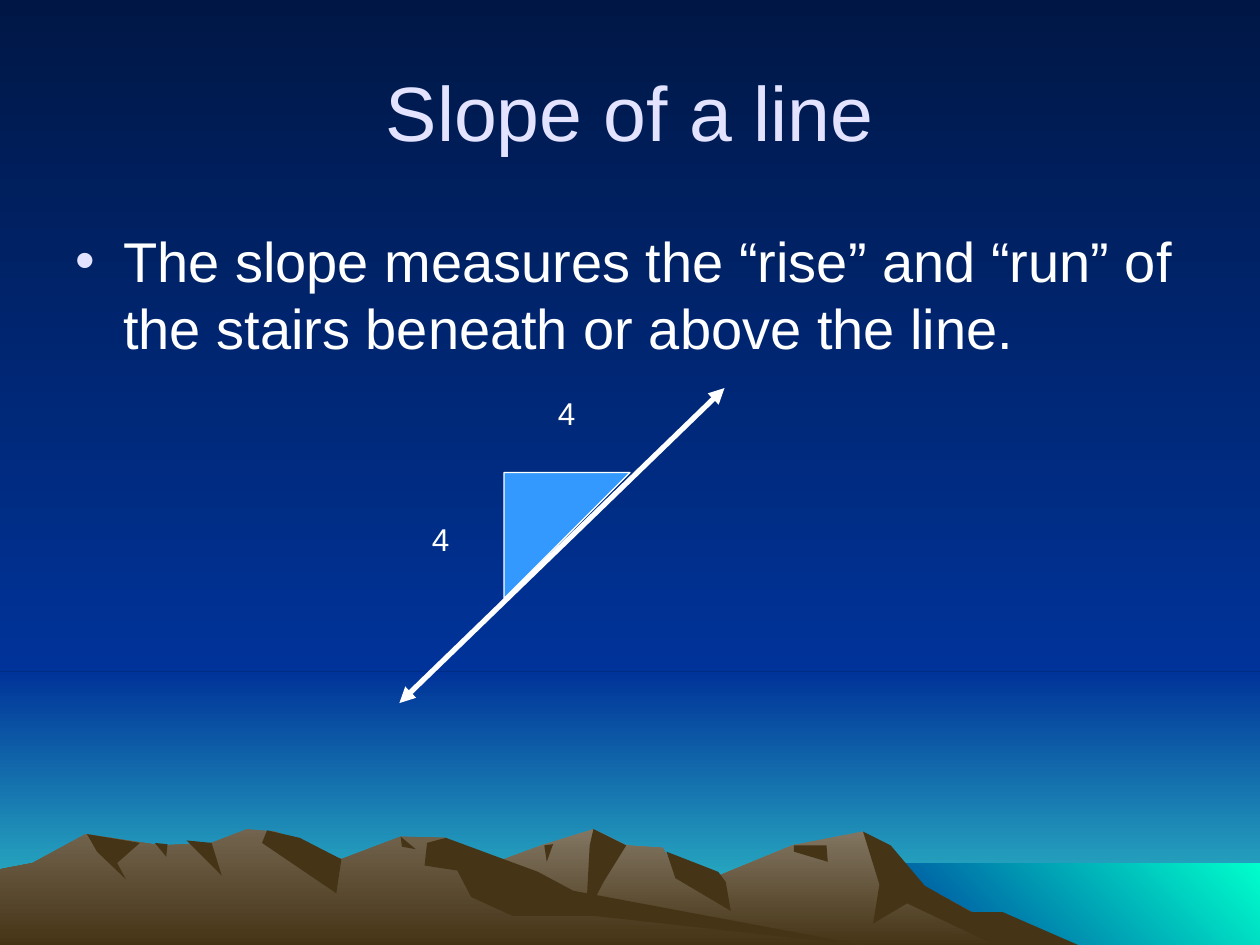
"""Build a slide on the slope of a line above a mountain landscape."""
from dataclasses import dataclass

import lxml.etree
import pptx
import pptx.dml.color
import pptx.enum.shapes
import pptx.enum.text
import pptx.oxml.ns
import pptx.util
from pptx.util import Inches

COLORS = {
    "night": "001746", "blue": "003399", "horizon": "33CCCC", "sea": "00FFCC",
    "peak": "837763", "ridge": "72644E", "shade": "463416",
    "title": "E3E3FF", "white": "FFFFFF", "stair": "3399FF",
}


@dataclass(frozen=True)
class Band:
    left: float
    top: float
    bottom: float
    colors: tuple[str, str]
    angle: int = 270


@dataclass(frozen=True)
class Mountain:
    points: list[tuple[int, int]]
    colors: tuple[str, ...] = ("shade",)


@dataclass(frozen=True)
class Label:
    text: str
    left: float
    top: float


BANDS = [
    Band(0, 5.33, 7.5, ("blue", "horizon")),
    Band(0, 0, 5.33, ("night", "blue")),
    Band(6.83, 6.85, 7.5, ("sea", "blue"), 225),
]
MOUNTAINS = [
    Mountain([(258, 751), (327, 709), (430, 671), (471, 658), (497, 671), (526, 673),
              (536, 690), (566, 697), (629, 671), (685, 660), (723, 698), (821, 751)],
             ("peak", "shade")),
    Mountain([(685, 660), (707, 671), (734, 703), (771, 724), (796, 724), (858, 751),
              (792, 751), (720, 717), (693, 733), (698, 702)]),
    Mountain([(471, 658), (497, 671), (479, 700), (465, 727), (468, 671)]),
    Mountain([(529, 676), (570, 692), (576, 700), (580, 723), (536, 697)]),
    Mountain([(630, 671), (656, 671), (657, 684), (630, 676)]),
    Mountain([(432, 671), (439, 670), (434, 684)]),
    Mountain([(0, 751), (0, 690), (26, 685), (68, 662), (128, 671), (168, 669),
              (196, 658), (219, 660), (271, 682), (318, 664), (354, 665), (432, 712),
              (690, 751)], ("ridge", "shade")),
    Mountain([(212, 659), (238, 665), (271, 682), (267, 709), (208, 669)]),
    Mountain([(339, 669), (354, 665), (427, 692), (455, 707), (690, 751), (472, 727),
              (407, 727), (374, 712), (363, 691), (337, 687)]),
    Mountain([(318, 664), (330, 674), (319, 672)]),
    Mountain([(148, 667), (168, 669), (176, 695)]),
    Mountain([(123, 669), (133, 670), (132, 680)]),
    Mountain([(69, 662), (111, 669), (93, 685), (100, 698), (77, 676)]),
]
STEP_LABELS = [Label("4", 3.33, 4.08), Label("4", 4.33, 3.08)]


def rgb(name: str) -> pptx.dml.color.RGBColor:
    return pptx.dml.color.RGBColor.from_string(COLORS[name])


def paint(fill, colors: tuple[str, ...], angle: int = 270) -> None:
    if len(colors) == 1:
        fill.solid()
        fill.fore_color.rgb = rgb(colors[0])
        return
    fill.gradient()
    fill.gradient_angle = angle
    for position, (stop, color) in enumerate(zip(fill.gradient_stops, colors)):
        stop.position = position
        stop.color.rgb = rgb(color)


def add_xml(parent, tag: str, **attributes: str):
    return lxml.etree.SubElement(parent, pptx.oxml.ns.qn(tag), attributes)


def finish_scenery(shape, colors: tuple[str, ...], angle: int = 270) -> None:
    shape.shadow.inherit = False
    shape.line.fill.background()
    paint(shape.fill, colors, angle)


def draw_band(slide, band: Band) -> None:
    shape = slide.shapes.add_shape(
        pptx.enum.shapes.MSO_SHAPE.RECTANGLE, Inches(band.left), Inches(band.top),
        Inches(10 - band.left), Inches(band.bottom - band.top))
    finish_scenery(shape, band.colors, band.angle)


def draw_mountain(slide, mountain: Mountain) -> None:
    builder = slide.shapes.build_freeform(*mountain.points[0], scale=Inches(0.01))
    builder.add_line_segments(mountain.points[1:], close=True)
    finish_scenery(builder.convert_to_shape(), mountain.colors)


def add_text(slide, text: str, left: float, top: float, width: float, height: float, *,
             size: float, color: str = "white", space_before: float = 0,
             alignment=pptx.enum.text.PP_ALIGN.LEFT,
             anchor=pptx.enum.text.MSO_ANCHOR.TOP, bullet_color: str = "") -> None:
    shape = slide.shapes.add_textbox(Inches(left), Inches(top), Inches(width), Inches(height))
    frame = shape.text_frame
    frame.word_wrap = True
    frame.vertical_anchor = anchor
    paragraph = frame.paragraphs[0]
    paragraph.alignment = alignment
    paragraph.space_before = pptx.util.Pt(space_before)
    run = paragraph.add_run()
    run.text = text
    run.font.name = "Arial"
    run.font.size = pptx.util.Pt(size)
    run.font.color.rgb = rgb(color)
    if bullet_color:
        properties = paragraph._p.get_or_add_pPr()
        indent = Inches(0.38)
        properties.set("marL", str(indent))
        properties.set("indent", str(-indent))
        add_xml(add_xml(properties, "a:buClr"), "a:srgbClr", val=COLORS[bullet_color])
        add_xml(properties, "a:buFont", typeface="Arial")
        add_xml(properties, "a:buChar", char="•")


def draw_slope_line(slide) -> None:
    connector = slide.shapes.add_connector(
        pptx.enum.shapes.MSO_CONNECTOR.STRAIGHT,
        Inches(3.17), Inches(5.58), Inches(5.75), Inches(3.08))
    connector.line.color.rgb = rgb("white")
    connector.line.width = pptx.util.Pt(3)
    line = connector.line._get_or_add_ln()
    for end in ("a:headEnd", "a:tailEnd"):
        add_xml(line, end, type="triangle")
    add_xml(connector._element.spPr, "a:effectLst")


def draw_stair(slide) -> None:
    triangle = slide.shapes.add_shape(
        pptx.enum.shapes.MSO_SHAPE.RIGHT_TRIANGLE,
        Inches(4), Inches(3.75), Inches(1), Inches(1))
    triangle.rotation = 90
    triangle.shadow.inherit = False
    paint(triangle.fill, ("stair",))
    triangle.line.color.rgb = rgb("white")
    triangle.line.width = pptx.util.Pt(0.75)


def main() -> None:
    presentation = pptx.Presentation()
    presentation.slide_width, presentation.slide_height = Inches(10), Inches(7.5)
    slide = presentation.slides.add_slide(presentation.slide_layouts[6])
    paint(slide.background.fill, ("night", "blue"))
    for band in BANDS:
        draw_band(slide, band)
    for mountain in MOUNTAINS:
        draw_mountain(slide, mountain)
    add_text(slide, "Slope of a line", 0.5, 0.25, 9, 1.25, size=44, color="title",
             alignment=pptx.enum.text.PP_ALIGN.CENTER,
             anchor=pptx.enum.text.MSO_ANCHOR.MIDDLE)
    add_text(slide, "The slope measures the “rise” and “run” of the stairs beneath "
             "or above the line.", 0.5, 1.75, 9, 4.92, size=32, space_before=8,
             bullet_color="title")
    draw_slope_line(slide)
    draw_stair(slide)
    for label in STEP_LABELS:
        add_text(slide, label.text, label.left, label.top, 0.33, 0.4, size=18,
                 space_before=11.2)
    presentation.save("out.pptx")


if __name__ == "__main__":
    main()
